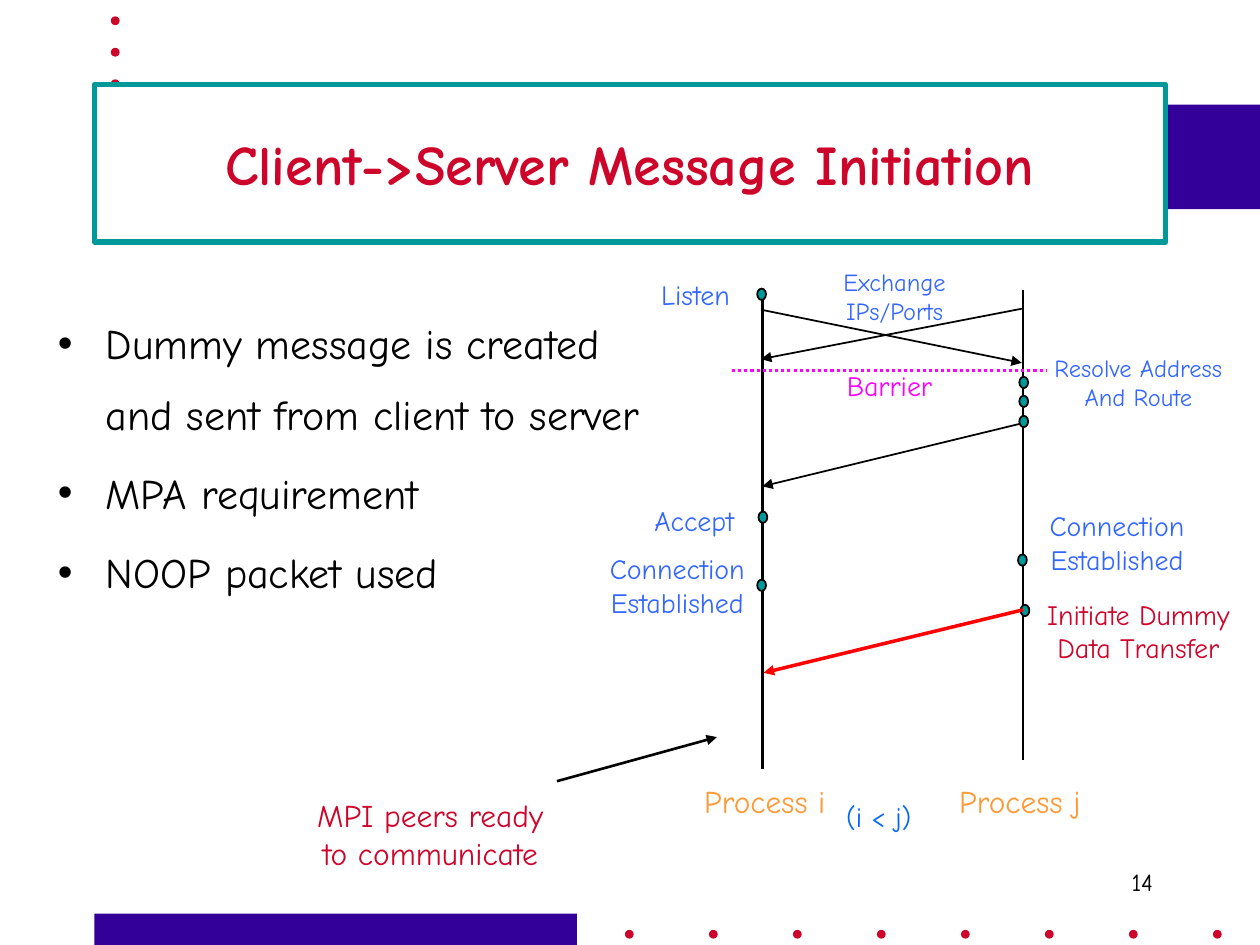
from lxml import etree
from pptx import Presentation
from pptx.dml.color import RGBColor
from pptx.enum.dml import MSO_LINE
from pptx.enum.shapes import MSO_CONNECTOR, MSO_SHAPE
from pptx.enum.text import MSO_ANCHOR, MSO_AUTO_SIZE, PP_ALIGN
from pptx.oxml.ns import qn
from pptx.util import Inches, Pt

RECT, OVAL = MSO_SHAPE.RECTANGLE, MSO_SHAPE.OVAL
STRAIGHT = MSO_CONNECTOR.STRAIGHT
CENTER, RIGHT = PP_ALIGN.CENTER, PP_ALIGN.RIGHT
FONT = "Comic Neue"
COLORS = {name: RGBColor.from_string(value) for name, value in {
    "black": "000000", "white": "FFFFFF", "indigo": "330099",
    "crimson": "CD052B", "teal": "009999", "blue": "3366FF",
    "azure": "0066FF", "red": "FF0000", "magenta": "FF00FF",
    "orange": "FF9933",
}.items()}

prs = Presentation()
prs.slide_width, prs.slide_height = Inches(10), Inches(7.5)
s = prs.slides.add_slide(prs.slide_layouts[1])


def add_filled(kind, box, fill, outlined=False):
    sp = s.shapes.add_shape(kind, *map(Inches, box))
    sp.shadow.inherit = False
    sp.fill.solid()
    sp.fill.fore_color.rgb = COLORS[fill]
    if outlined:
        sp.line.color.rgb = COLORS["black"]
        sp.line.width = Pt(1)
    else:
        sp.line.fill.background()


def format_text(tf, size, color, align=None, bold=False):
    for p in tf.paragraphs:
        p.alignment = align
        for r in p.runs:
            r.font.name = FONT
            r.font.size = Pt(size)
            r.font.bold = bold
            r.font.color.rgb = COLORS[color]


# Background bars and dots
add_filled(RECT, (0.75, 7.25, 3.83, 0.25), "indigo")
add_filled(RECT, (0.83, 0.83, 9.17, 0.83), "indigo")
for i in range(8):
    add_filled(OVAL, (4.96 + i * 2 / 3, 7.38, 0.07, 0.07), "crimson")
for i in range(3):
    add_filled(OVAL, (0.88, 0.13 + i * 0.25, 0.07, 0.07), "crimson")

# Title, brought in front of the bars
title = s.shapes.title
title.left, title.top = Inches(0.75), Inches(0.67)
title.width, title.height = Inches(8.5), Inches(1.25)
title.fill.solid()
title.fill.fore_color.rgb = COLORS["white"]
title.line.color.rgb = COLORS["teal"]
title.line.width = Pt(3)
tf = title.text_frame
tf.text = "Client->Server Message Initiation"
tf.vertical_anchor = MSO_ANCHOR.MIDDLE
tf.auto_size = MSO_AUTO_SIZE.NONE
format_text(tf, 32, "crimson", CENTER, bold=True)
s.shapes._spTree.append(title._element)

# Bullet list
body = s.placeholders[1]
body.left, body.top = Inches(0.46), Inches(2.31)
body.width, body.height = Inches(4.75), Inches(4.27)
tf = body.text_frame
tf.text = "\n".join([
    "Dummy message is created and sent from client to server",
    "MPA requirement",
    "NOOP packet used",
])
tf.auto_size = MSO_AUTO_SIZE.NONE
tf.margin_left = tf.margin_right = 0
for i, p in enumerate(tf.paragraphs):
    pPr = p._p.get_or_add_pPr()
    pPr.set("marL", str(Inches(0.38)))
    pPr.set("indent", str(-Inches(0.38)))
    etree.SubElement(pPr, qn("a:buChar")).set("char", "•")
    p.line_spacing = 1.4
    p.space_before = Pt(5 if i else 0)
format_text(tf, 24, "black")

# Timelines, messages, barrier and pointer: from, to, colour, width, arrow
lines = [
    ((6.05, 2.3), (6.05, 6.1), "black", 1.5, False),
    ((8.12, 2.3), (8.12, 6.03), "black", 1.5, False),
    ((6.05, 2.46), (8.11, 2.88), "black", 1, True),
    ((8.11, 2.45), (6.04, 2.85), "black", 1, True),
    ((8.11, 3.36), (6.05, 3.86), "black", 1, True),
    ((5.81, 2.94), (8.3, 2.94), "magenta", 1.75, False),
    ((4.42, 6.2), (5.69, 5.85), "black", 1.5, True),
    ((8.12, 4.84), (6.06, 5.34), "red", 2, True),
]
events = [(6.01, 2.29), (8.09, 2.99), (8.09, 3.14), (8.09, 3.3),
          (6.02, 4.06), (8.08, 4.4), (6.01, 4.6), (8.1, 4.8)]

for start, end, color, width, arrow in lines:
    if color == "red":  # the dummy message lies over the event dots
        for x, y in events:
            add_filled(OVAL, (x, y, 0.07, 0.09), "teal", outlined=True)
    cx = s.shapes.add_connector(STRAIGHT, *map(Inches, start + end))
    cx.line.color.rgb = COLORS[color]
    cx.line.width = Pt(width)
    if color == "magenta":
        cx.line.dash_style = MSO_LINE.ROUND_DOT
    if arrow:
        ln = cx.line._get_or_add_ln()
        etree.SubElement(ln, qn("a:tailEnd")).set("type", "triangle")
    etree.SubElement(cx._element.spPr, qn("a:effectLst"))

# Labels: text, box, size, colour
labels = [
    ("Listen", (5.1, 2.15, 0.84, 0.37), 16, "blue"),
    ("Exchange\nIPs/Ports", (6.54, 2.07, 1.12, 0.57), 14, "blue"),
    ("Resolve Address\nAnd Route", (8.22, 2.75, 1.63, 0.57), 14, "blue"),
    ("Barrier", (6.58, 2.88, 0.96, 0.37), 16, "magenta"),
    ("Accept", (5.04, 3.95, 0.94, 0.37), 16, "blue"),
    ("Connection\nEstablished", (8.16, 3.99, 1.41, 0.64), 16, "blue"),
    ("Connection\nEstablished", (4.67, 4.33, 1.41, 0.64), 16, "blue"),
    ("Initiate Dummy\nData Transfer", (8.13, 4.69, 1.81, 0.64), 16, "crimson"),
    ("Process i", (5.45, 6.16, 1.24, 0.4), 18, "orange"),
    ("Process j", (7.46, 6.16, 1.27, 0.4), 18, "orange"),
    ("(i < j)", (6.61, 6.3, 0.73, 0.37), 16, "azure"),
    ("MPI peers ready\nto communicate", (2.3, 6.27, 2.23, 0.7), 18, "crimson"),
]
for text, box, size, color in labels:
    tf = s.shapes.add_textbox(*map(Inches, box)).text_frame
    tf.text = text
    tf.word_wrap = False
    format_text(tf, size, color, CENTER)

# Page number
tf = s.shapes.add_textbox(*map(Inches, (7.17, 6.83, 2.08, 0.5))).text_frame
tf.text = "14"
tf.word_wrap = True
format_text(tf, 14, "black", RIGHT)

prs.save("out.pptx")
